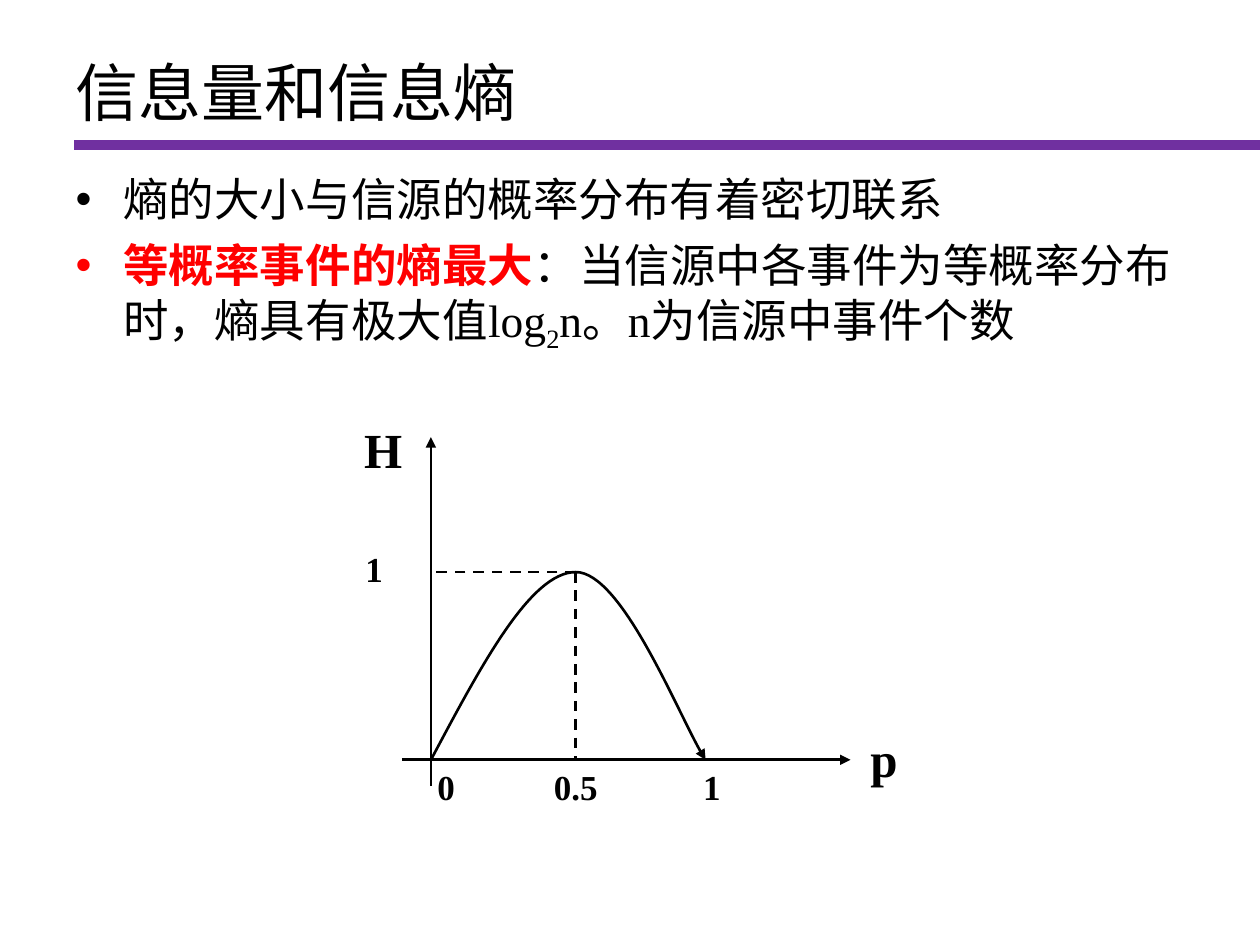
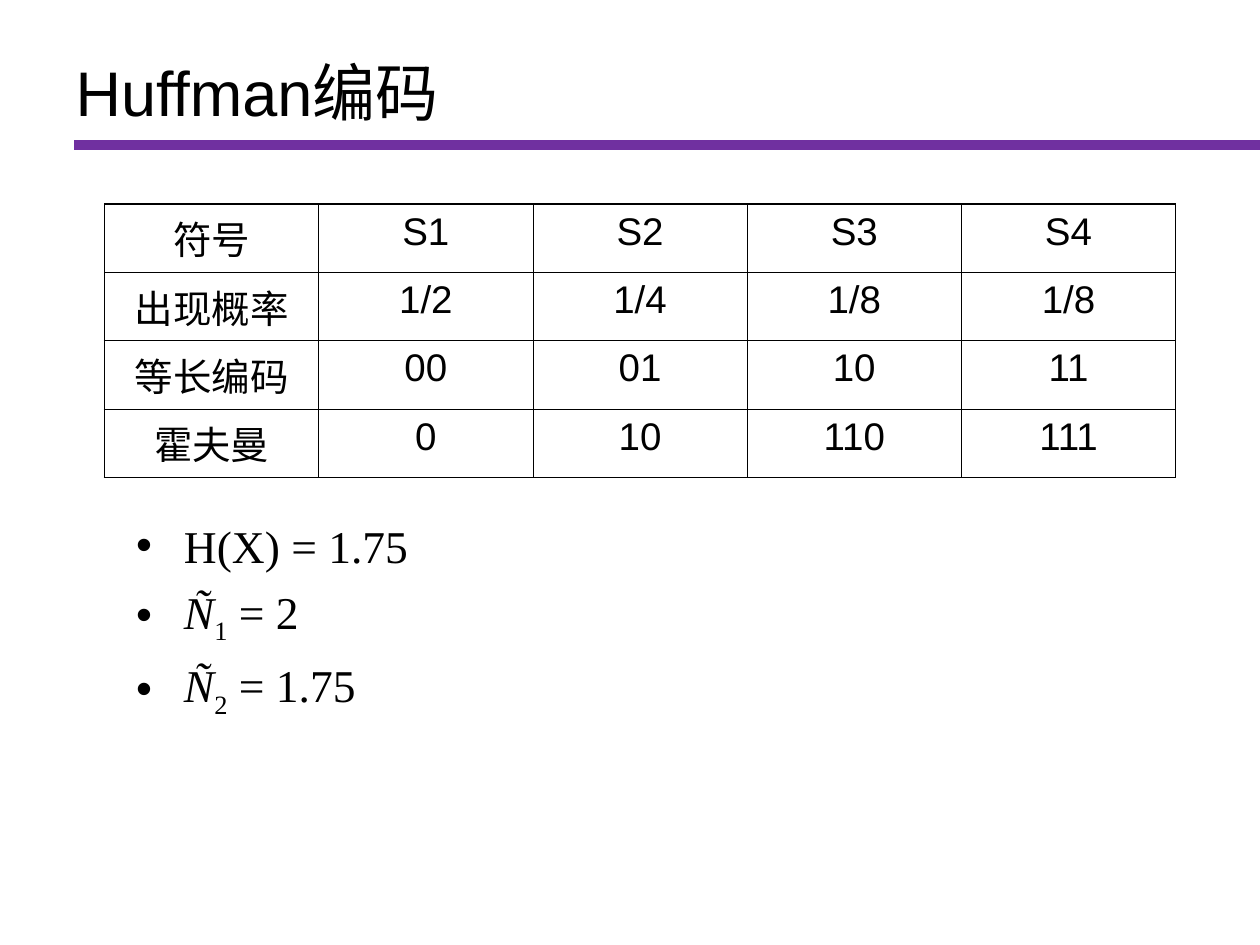
from typing import NamedTuple

from lxml.etree import SubElement
from pptx import Presentation
from pptx.dml.color import RGBColor
from pptx.enum.dml import MSO_LINE
from pptx.enum.shapes import MSO_CONNECTOR
from pptx.enum.text import MSO_ANCHOR, MSO_AUTO_SIZE, PP_ALIGN
from pptx.oxml.ns import qn
from pptx.util import Inches, Pt

# Shared look
COLORS = {"ink": "000000", "band": "7030A0", "key": "FF0000", "paper": "FFFFFF"}
SANS, SERIF = "Arial", "Times New Roman"
THIN, THICK = 0.45, 1.08


class Run(NamedTuple):
    text: str
    color: str = "ink"
    bold: bool = False
    italic: bool = False
    sub: bool = False


class Line(NamedTuple):
    start: tuple[float, float]
    end: tuple[float, float]
    color: str = "ink"
    width: float = 1.5
    dash: bool = False
    arrow: bool = False


class Label(NamedTuple):
    text: str
    box: tuple[float, float, float, float]
    size: int = 20


def paint(color: str) -> RGBColor:
    return RGBColor.from_string(COLORS[color])


def place(shape, box) -> None:
    shape.left, shape.top, shape.width, shape.height = map(Inches, box)


def bullet(para, color: str) -> None:
    props = para._p.get_or_add_pPr()
    props.set("marL", str(Inches(0.38)))
    props.set("indent", str(-Inches(0.38)))
    tint = SubElement(props, qn("a:buClr"))
    SubElement(tint, qn("a:srgbClr"), val=COLORS[color])
    SubElement(props, qn("a:buFont"), typeface=SANS)
    SubElement(props, qn("a:buChar"), char="•")


def write(frame, paras: list[list[Run]], *, size: float, font: str,
          align=PP_ALIGN.LEFT, gap: float = 0, dots: bool = False,
          bold: bool = False) -> None:
    """Fill a text frame; each paragraph is a list of runs."""
    for i, runs in enumerate(paras):
        para = frame.add_paragraph() if i else frame.paragraphs[0]
        para.alignment = align
        para.space_before = Pt(gap if i else 0)
        if dots:
            bullet(para, runs[0].color)
        for item in runs:
            run = para.add_run()
            run.text = item.text
            face = run.font
            face.size, face.name = Pt(size), font
            face.bold, face.italic = bold or item.bold, item.italic
            face.color.rgb = paint(item.color)
            if item.sub:
                face._element.set("baseline", "-25000")


def stroke(shape, color: str, width: float, dash: bool, arrow: bool) -> None:
    shape.line.color.rgb = paint(color)
    shape.line.width = Pt(width)
    if dash:
        shape.line.dash_style = MSO_LINE.DASH
    if arrow:
        SubElement(shape.line._get_or_add_ln(), qn("a:tailEnd"), type="triangle")


def draw_line(shapes, line: Line) -> None:
    link = shapes.add_connector(
        MSO_CONNECTOR.STRAIGHT, *map(Inches, line.start + line.end))
    stroke(link, line.color, line.width, line.dash, line.arrow)
    SubElement(link._element.spPr, qn("a:effectLst"))


def draw_label(shapes, label: Label) -> None:
    frame = shapes.add_textbox(*map(Inches, label.box)).text_frame
    frame.word_wrap = False
    write(frame, [[Run(label.text)]], size=label.size, font=SERIF,
          align=PP_ALIGN.CENTER, bold=True)


def draw_curve(shapes, points: list[tuple[float, float]]) -> None:
    """Draw a Bezier curve: a start, then three points per segment."""
    spots = [(Inches(x), Inches(y)) for x, y in points]
    pen = shapes.build_freeform(*spots[0])
    pen.add_line_segments(spots[1:], close=False)
    curve = pen.convert_to_shape()
    curve.shadow.inherit = False
    curve.fill.background()
    stroke(curve, "ink", 1.5, False, True)
    # Turn each three straight steps into one cubic segment
    steps = list(curve._element.iter(qn("a:lnTo")))
    path = steps[0].getparent()
    for i in range(0, len(steps), 3):
        cubic = SubElement(path, qn("a:cubicBezTo"))
        for step in steps[i:i + 3]:
            cubic.append(step[0])
            path.remove(step)


def add_page(deck, title: str, box, paras: list[list[Run]]):
    """Add a slide with its title, band and bullet list."""
    page = deck.slides.add_slide(deck.slide_layouts[1])
    draw_line(page.shapes, Line((0.59, 1.15), (10, 1.15), "band", 6))
    head, body = page.shapes.title, page.placeholders[1]
    place(head, (0.5, 0.3, 9, 0.85))
    place(body, box)
    for shape, anchor in ((head, MSO_ANCHOR.MIDDLE), (body, MSO_ANCHOR.TOP)):
        frame = shape.text_frame
        frame.word_wrap = True
        frame.auto_size = MSO_AUTO_SIZE.NONE
        frame.vertical_anchor = anchor
    write(head.text_frame, [[Run(title)]], size=36, font=SANS)
    write(body.text_frame, paras, size=26, font=SERIF, gap=6.5, dots=True)
    return page


def edge(cell, side: str, width: float) -> None:
    rule = SubElement(cell._tc.get_or_add_tcPr(), qn(f"a:ln{side}"),
                      w=str(Pt(width)))
    fill = SubElement(rule, qn("a:solidFill"))
    SubElement(fill, qn("a:srgbClr"), val=COLORS["ink"])


def draw_table(shapes, rows: list[list[str]]) -> None:
    high, wide = len(rows), len(rows[0])
    table = shapes.add_table(high, wide, Inches(0.83), Inches(1.62),
                             Inches(1.7 * wide), Inches(0.54 * high)).table
    table.first_row = table.horz_banding = False
    for r, row in enumerate(rows):
        for c, text in enumerate(row):
            cell = table.cell(r, c)
            outer = {"L": c == 0 and r > 0, "R": c == wide - 1,
                     "T": r == 0, "B": r == high - 1}
            for side, thick in outer.items():
                edge(cell, side, THICK if thick else THIN)
            cell.fill.solid()
            cell.fill.fore_color.rgb = paint("paper")
            write(cell.text_frame, [[Run(text)]], size=22, font=SANS,
                  align=PP_ALIGN.CENTER)


def entropy_page(deck) -> None:
    page = add_page(deck, "信息量和信息熵", (0.5, 1.31, 9, 5.39), [
        [Run("熵的大小与信源的概率分布有着密切联系")],
        [Run("等概率事件的熵最大", "key", bold=True),
         Run("：当信源中各事件为等概率分布时，熵具有极大值log"),
         Run("2", sub=True), Run("n。n为信源中事件个数")],
    ])
    # Entropy plot: axes, curve, guides and labels
    plot = page.shapes.add_group_shape().shapes
    zero, base, peak = 3.42, 6.03, (4.57, 4.54)
    draw_line(plot, Line((zero, 6.24), (zero, 3.47), arrow=True))
    draw_line(plot, Line((3.19, base), (6.75, base), arrow=True))
    draw_curve(plot, [(zero, base), (3.82, 5.28), (4.21, 4.54), peak,
                      (4.93, 4.54), (5.43, 5.78), (5.6, base)])
    for foot in ((peak[0], base), (zero, peak[1])):
        draw_line(plot, Line(peak, foot, dash=True))
    for label in (
        Label("p", (6.81, 5.73, 0.41, 0.57), 28),
        Label("H", (2.79, 3.28, 0.5, 0.57), 28),
        Label("1", (5.48, base, 0.34, 0.44)),
        Label("0.5", (4.11, base, 0.92, 0.44)),
        Label("0", (3.37, base, 0.34, 0.44)),
        Label("1", (2.8, 4.3, 0.34, 0.44)),
    ):
        draw_label(plot, label)


def huffman_page(deck) -> None:
    means = [[Run("Ñ", italic=True), Run(mark, sub=True), Run(f" = {value}")]
             for mark, value in (("1", "2"), ("2", "1.75"))]
    page = add_page(deck, "Huffman编码", (0.98, 4.06, 5.05, 2.52),
                    [[Run("H(X) = 1.75")], *means])
    # Code table
    draw_table(page.shapes, [
        ["符号", "S1", "S2", "S3", "S4"],
        ["出现概率", "1/2", "1/4", "1/8", "1/8"],
        ["等长编码", "00", "01", "10", "11"],
        ["霍夫曼", "0", "10", "110", "111"],
    ])


def main() -> None:
    deck = Presentation()
    deck.slide_width, deck.slide_height = Inches(10), Inches(7.5)
    entropy_page(deck)
    huffman_page(deck)
    deck.save("out.pptx")


if __name__ == "__main__":
    main()
